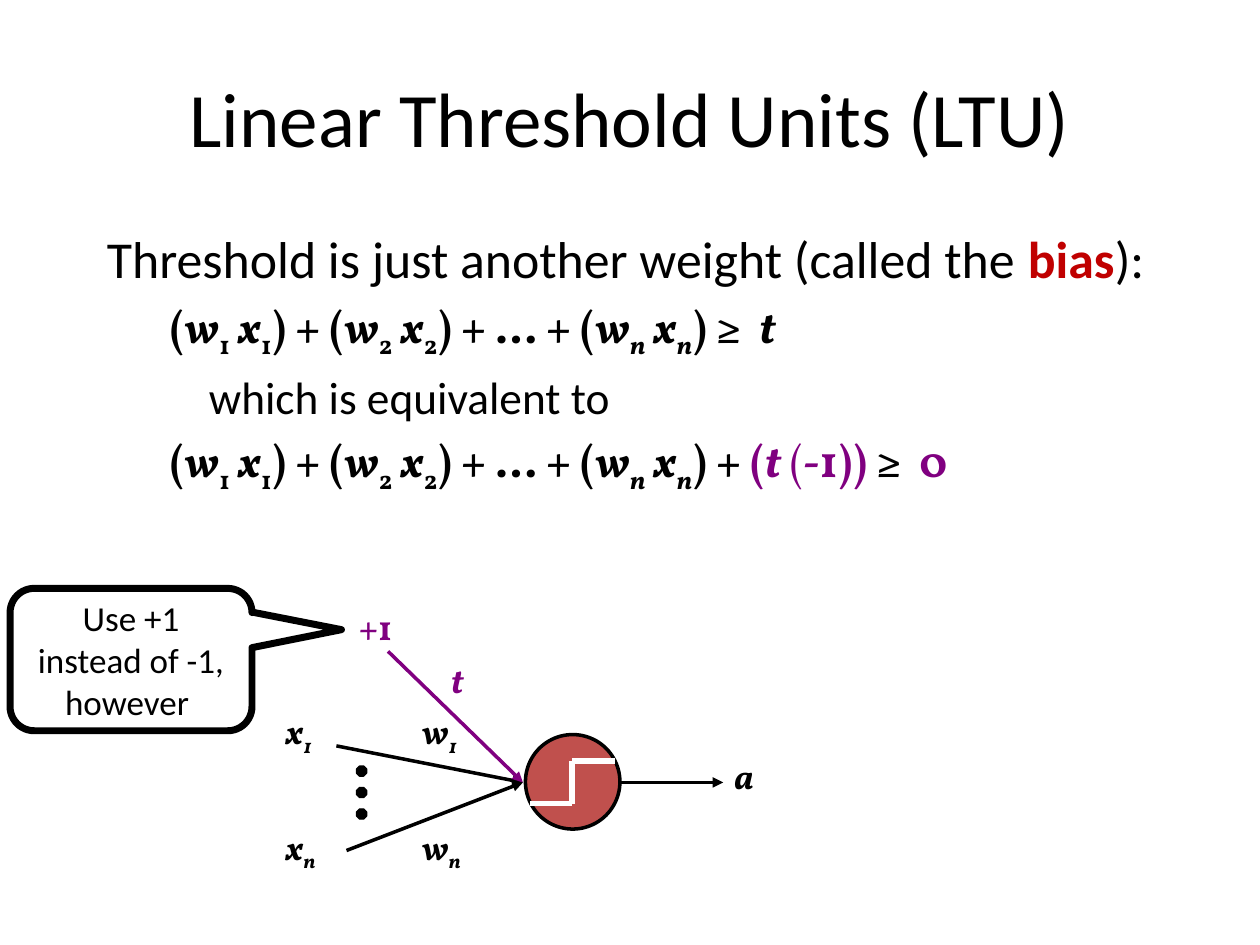
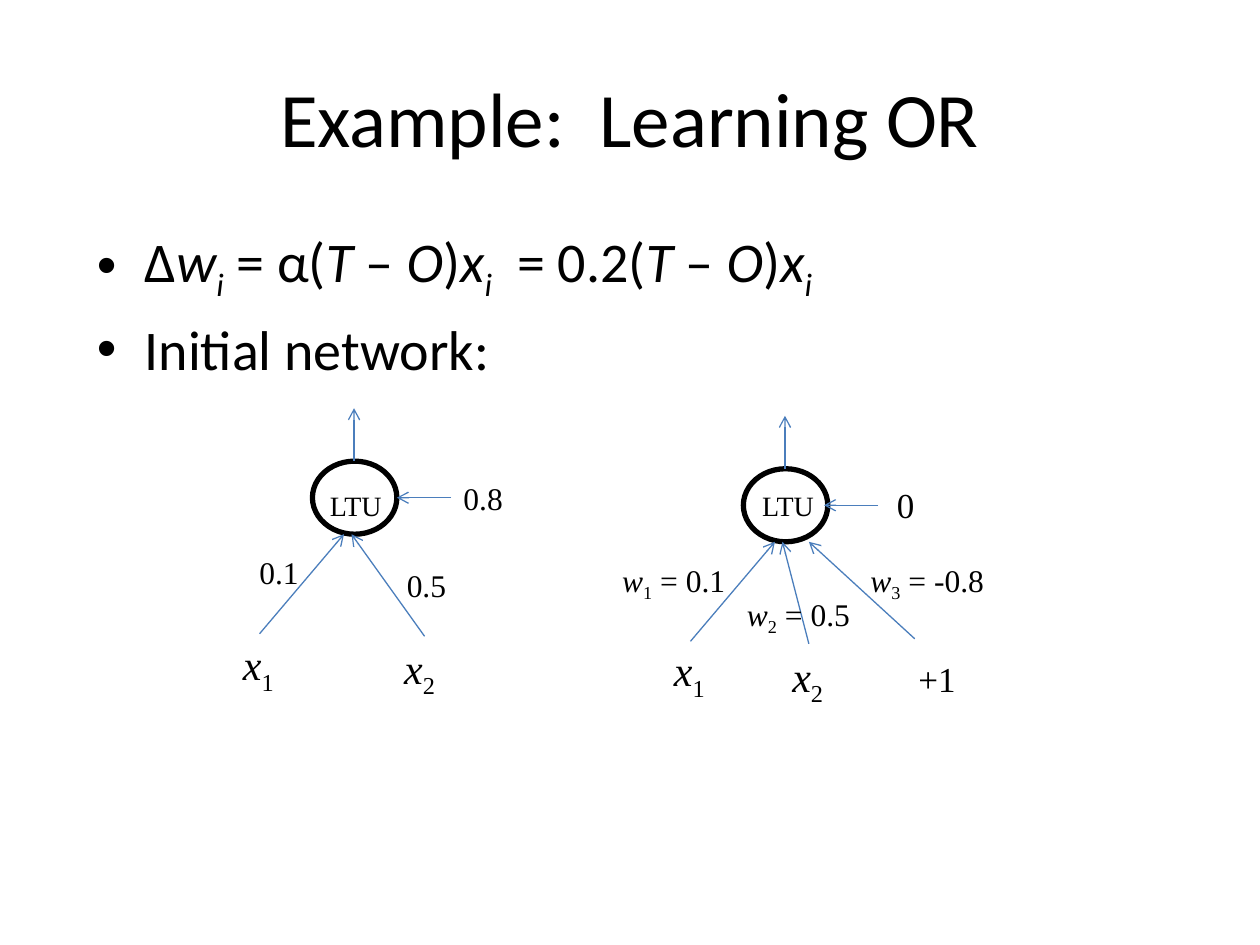
from pptx import Presentation
from pptx.dml.color import RGBColor
from pptx.enum.shapes import MSO_CONNECTOR as Connector, MSO_SHAPE as Preset
from pptx.enum.text import MSO_ANCHOR as Anchor, MSO_AUTO_SIZE as AutoSize, PP_ALIGN as Align
from pptx.oxml.ns import qn
from pptx.util import Emu, Pt
from lxml.etree import SubElement

PX = 9144  # EMU per px, 100 px to the inch
BLACK = RGBColor(0x00, 0x00, 0x00)
WHITE = RGBColor(0xFF, 0xFF, 0xFF)
CRIMSON = RGBColor(0xC0, 0x00, 0x00)
BRICK = RGBColor(0xC0, 0x50, 0x4D)
PURPLE = RGBColor(0x80, 0x00, 0x80)
BLUE = RGBColor(0x4B, 0x7E, 0xBC)
SANS, MATH, SERIF = "Calibri", "Vollkorn", "Times New Roman"


def px(*lengths):
    return [Emu(length * PX) for length in lengths]


class Deck:
    """Holds the shared style and the slide being built."""

    def __init__(self):
        self.presentation = Presentation()
        self.presentation.slide_width, self.presentation.slide_height = px(1000, 750)
        self.slide = None

    def new_slide(self, title):
        self.slide = self.presentation.slides.add_slide(self.presentation.slide_layouts[5])
        shape = self.slide.shapes.title
        shape.left, shape.top, shape.width, shape.height = px(50, 30, 900, 125)
        shape.text_frame.vertical_anchor = Anchor.MIDDLE
        paragraph = shape.text_frame.paragraphs[0]
        paragraph.alignment = Align.CENTER
        self.runs(paragraph, [(title,)], 44, SANS)

    def runs(self, paragraph, runs, size, font, color=BLACK):
        """Each run is (text, marks, color); marks are b bold, i italic, s subscript."""
        for text, *options in runs:
            marks = options[0] if options else ""
            run = paragraph.add_run()
            run.text = text
            run.font.name, run.font.size = font, Pt(size)
            run.font.bold, run.font.italic = "b" in marks, "i" in marks
            run.font.color.rgb = options[1] if len(options) > 1 else color
            if "s" in marks:
                run.font._element.set("baseline", "-25000")

    def body(self, left, top, width, height, paragraphs):
        """Each paragraph is (runs, size, font, margin, indent, bullet)."""
        frame = self.slide.shapes.add_textbox(*px(left, top, width, height)).text_frame
        frame.word_wrap = True
        for index, (runs, size, font, margin, indent, bullet) in enumerate(paragraphs):
            paragraph = frame.add_paragraph() if index else frame.paragraphs[0]
            properties = paragraph._p.get_or_add_pPr()
            properties.set("marL", str(margin * PX))
            properties.set("indent", str(indent * PX))
            if bullet:
                SubElement(properties, qn("a:buFont"), typeface="Arial")
                SubElement(properties, qn("a:buChar"), char=bullet)
            if index:
                paragraph.space_before = Pt(round(size * 0.2, 1))
            self.runs(paragraph, runs, size, font)

    def label(self, left, top, width, runs, size, font=SERIF, color=BLACK):
        height = round(size * 1.2 / 72 * 100) + 10
        frame = self.slide.shapes.add_textbox(*px(left, top, width, height)).text_frame
        frame.word_wrap = False
        frame.auto_size = AutoSize.SHAPE_TO_FIT_TEXT
        self.runs(frame.paragraphs[0], runs, size, font, color)

    def shape(self, preset, left, top, width, height, fill, line_width):
        shape = self.slide.shapes.add_shape(preset, *px(left, top, width, height))
        shape.shadow.inherit = False
        shape.fill.solid()
        shape.fill.fore_color.rgb = fill
        shape.line.color.rgb = BLACK
        shape.line.width = Pt(line_width)
        return shape

    def line(self, start, end, color, width, head=None):
        connector = self.slide.shapes.add_connector(Connector.STRAIGHT, *px(*start, *end))
        connector.line.color.rgb = color
        connector.line.width = Pt(width)
        if head:
            SubElement(connector.line._get_or_add_ln(), qn("a:tailEnd"), type=head)
        SubElement(connector._element.spPr, qn("a:effectLst"))


def weighted_sum():
    runs = [("(", "b")]
    for index, joint in (("1", ") + ("), ("2", ") + ... + (")):
        runs += [("w", "bi"), (index, "bs"), (" x", "bi"), (index, "bs"), (joint, "b")]
    return runs + [("w", "bi"), ("n", "bis"), (" x", "bi"), ("n", "bis")]


def indexed(name, index, rest=""):
    runs = [(name, "i"), (index, "s")]
    return runs + [(rest,)] if rest else runs


def threshold_slide(deck):
    deck.new_slide("Linear Threshold Units (LTU)")
    intro = [("Threshold is just another weight (called the ",), ("bias", "b", CRIMSON), ("):",)]
    inequality = weighted_sum() + [(") ≥  ", "b"), ("t", "bi")]
    with_bias = weighted_sum() + [
        (") + ", "b"), ("(", "b", PURPLE), ("t ", "bi", PURPLE), ("(", "", PURPLE),
        ("-", "bi", PURPLE), ("1)) ", "b", PURPLE), ("≥  ", "b"), ("0", "b", PURPLE)]
    deck.body(75, 175, 883, 258, [
        (intro, 29.6, SANS, 0, 0, None),
        (inequality, 25.9, MATH, 81, -31, None),
        ([("which is equivalent to",)], 25.9, SANS, 81, 0, None),
        (with_bias, 25.9, MATH, 81, -31, None)])

    # Inputs, weights and output of the unit
    unit_input = (415, 621)
    deck.line((493, 621), (574, 621), BLACK, 2, "triangle")
    deck.label(573, 594, 38, [("a", "bi")], 20, MATH)
    for index, top, start in (("1", 558, (267, 592)), ("n", 650, (275, 675))):
        deck.line(start, unit_input, BLACK, 2, "triangle")
        for name, left, width in (("x", 217, 50), ("w", 325, 60)):
            deck.label(left, top, width, [(name, "bi"), (index, "bis")], 20, MATH)
    for row in range(3):
        deck.shape(Preset.OCTAGON, 283, 608 + 17 * row, 8, 8, BLACK, 0.75)

    # Unit with its step function
    deck.shape(Preset.OVAL, 417, 583, 75, 75, BRICK, 2)
    step = [(421, 638), (454, 638), (454, 604), (488, 604)]
    for start, end in zip(step, step[1:]):
        deck.line(start, end, WHITE, 3)

    # Bias input and its callout
    deck.line((308, 517), unit_input, PURPLE, 2, "triangle")
    deck.label(275, 476, 50, [("+1", "b")], 20, MATH, PURPLE)
    deck.label(348, 518, 33, [("t", "bi")], 20, MATH, PURPLE)
    callout = deck.shape(Preset.ROUNDED_RECTANGULAR_CALLOUT, 8, 467, 192, 113, WHITE, 4)
    for index, value in enumerate((0.87, -0.21, 0.17)):
        callout.adjustments[index] = value
    callout.text_frame.word_wrap = True
    callout.text_frame.vertical_anchor = Anchor.MIDDLE
    paragraph = callout.text_frame.paragraphs[0]
    paragraph.alignment = Align.CENTER
    deck.runs(paragraph, [("Use +1 instead of -1, however ",)], 20, SANS)


def network(deck, left, top, arrows, side_start, unit_label, labels):
    """Draw one unit; every position is relative to its circle's top left corner."""
    def at(x, y):
        return left + x, top + y

    deck.shape(Preset.OVAL, left, top, 67, 58, WHITE, 3)
    all_arrows = [((33, 0), (33, -42)), ((side_start, 29), (side_start - 43, 29))]
    all_arrows += [(start, (head, 58)) for start, head in arrows]
    for start, end in all_arrows:
        deck.line(at(*start), at(*end), BLUE, 0.75, "arrow")
    for x, y, width, runs, size in labels + [(*unit_label, 62, [("LTU",)], 16)]:
        deck.label(*at(x, y), width, runs, size)


def learning_slide(deck):
    deck.new_slide("Example:  Learning OR")
    error = [("T", "i"), (" – ",), ("O", "i"), (")",), ("x", "i"), ("i", "is")]
    rule = [("Δ",), ("w", "i"), ("i", "is"), (" = α(",), *error, ("  = 0.2(",), *error]
    deck.body(67, 175, 883, 495, [
        (runs, 32, SANS, 38, -38, "•") for runs in (rule, [("Initial network:",)])])

    # Unit with a threshold
    network(deck, 248, 366, [((-42, 137), 25), ((89, 139), 31)], 110, (4, 17), [
        (-52, 68, 52, [("0.1",)], 18),
        (65, 78, 52, [("0.5",)], 18),
        (110, 9, 52, [("0.8",)], 18),
        (-65, 136, 46, indexed("x", "1"), 24),
        (63, 139, 46, indexed("x", "2"), 24)])

    # Same unit with the threshold as a bias weight
    network(deck, 590, 372, [((-42, 137), 25), ((52, 139), 31), ((136, 135), 52)], 107, (5, 11), [
        (-106, 68, 104, indexed("w", "1", " = 0.1"), 18),
        (-7, 95, 104, indexed("w", "2", " = 0.5"), 18),
        (91, 68, 112, indexed("w", "3", " = -0.8"), 18),
        (-65, 135, 46, indexed("x", "1"), 24),
        (29, 139, 46, indexed("x", "2"), 24),
        (129, 145, 50, [("+1",)], 20),
        (112, 7, 34, [("0",)], 20)])


def main():
    deck = Deck()
    threshold_slide(deck)
    learning_slide(deck)
    deck.presentation.save("out.pptx")


if __name__ == "__main__":
    main()
